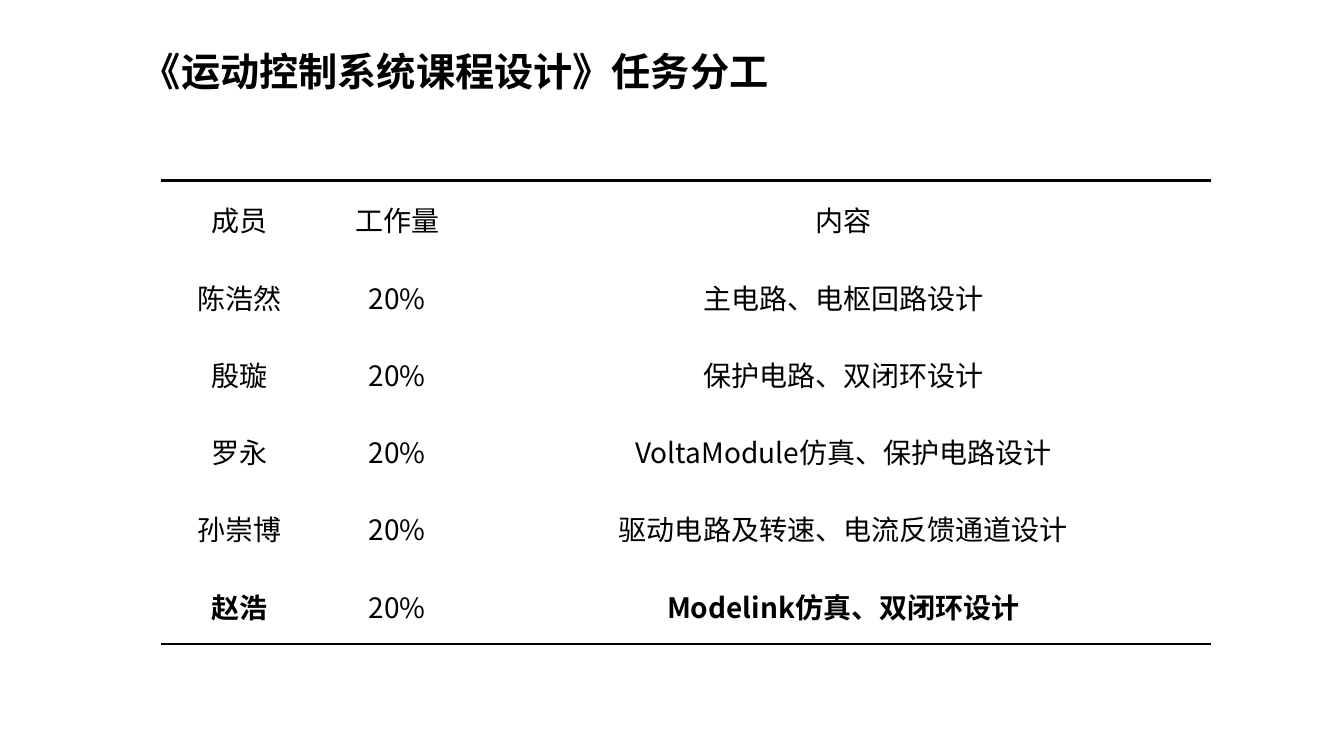
import pptx
import pptx.util
import pptx.dml.color
import pptx.enum.text
import pptx.oxml
import pptx.oxml.ns
from lxml import etree

Inches, Pt = pptx.util.Inches, pptx.util.Pt

# Content
TITLE = "《运动控制系统课程设计》任务分工"
ASSIGNMENTS = [
    ("成员", "工作量", "内容"),
    ("陈浩然", "20%", "主电路、电枢回路设计"),
    ("殷璇", "20%", "保护电路、双闭环设计"),
    ("罗永", "20%", "VoltaModule仿真、保护电路设计"),
    ("孙崇博", "20%", "驱动电路及转速、电流反馈通道设计"),
    ("赵浩", "20%", "Modelink仿真、双闭环设计"),
]
BOLD_CELLS = {(5, 0), (5, 2)}

# Format
FONT = "Noto Sans CJK SC"
BLACK, WHITE = "000000", "FFFFFF"
RULE_WIDTH = 2
COLUMN_WIDTHS = [1.56, 1.56, 7.29]
TABLE_LEFT, TABLE_TOP, TABLE_HEIGHT = 1.6, 1.79, 4.6
PLAIN_STYLE = "{2D5ABB26-0587-4C30-8999-92F81FD0307C}"
CELL_FORMAT = {
    "margin_left": Inches(0.01),
    "margin_right": Inches(0.01),
    "margin_top": Inches(0.01),
    "margin_bottom": 0,
    "vertical_anchor": pptx.enum.text.MSO_ANCHOR.MIDDLE,
}


def color(value):
    return pptx.dml.color.RGBColor.from_string(value)


def apply(target, values):
    for name, value in values.items():
        setattr(target, name, value)


def write(para, text, size, bold):
    span = para.add_run()
    span.text = text
    apply(span.font, {"name": FONT, "size": Pt(size), "bold": bold})
    span.font.color.rgb = color(BLACK)
    east_asian = etree.SubElement(span.font._element, pptx.oxml.ns.qn("a:ea"))
    east_asian.set("typeface", FONT)


def add_rule(cell, side):
    line = pptx.oxml.parse_xml(
        f'<a:{side} {pptx.oxml.ns.nsdecls("a")} w="{Pt(RULE_WIDTH)}">'
        f'<a:solidFill><a:srgbClr val="{BLACK}"/></a:solidFill></a:{side}>'
    )
    cell._tc.get_or_add_tcPr().insert(0, line)


deck = pptx.Presentation()
apply(deck, {"slide_width": Inches(13.33), "slide_height": Inches(7.5)})
page = deck.slides.add_slide(deck.slide_layouts[6])

# Title
box = page.shapes.add_textbox(Inches(1.31), Inches(0.42), Inches(10.83), Inches(0.57))
box.text_frame.word_wrap = True
write(box.text_frame.paragraphs[0], TITLE, 28, True)

# Assignment table
last_row = len(ASSIGNMENTS) - 1
table = page.shapes.add_table(
    len(ASSIGNMENTS), len(COLUMN_WIDTHS), Inches(TABLE_LEFT), Inches(TABLE_TOP),
    Inches(sum(COLUMN_WIDTHS)), Inches(TABLE_HEIGHT),
).table
apply(table, {"first_row": False, "horz_banding": False})
table._tbl.tblPr.find(pptx.oxml.ns.qn("a:tableStyleId")).text = PLAIN_STYLE
for column, width in zip(table.columns, COLUMN_WIDTHS):
    column.width = Inches(width)

for row, texts in enumerate(ASSIGNMENTS):
    for col, text in enumerate(texts):
        cell = table.cell(row, col)
        apply(cell, CELL_FORMAT)
        cell.fill.solid()
        cell.fill.fore_color.rgb = color(WHITE)
        para = cell.text_frame.paragraphs[0]
        para.alignment = pptx.enum.text.PP_ALIGN.CENTER
        write(para, text, 20, (row, col) in BOLD_CELLS)
        # Rules above the first row and below the last
        if row == 0:
            add_rule(cell, "lnT")
        if row == last_row:
            add_rule(cell, "lnB")

deck.save("out.pptx")
